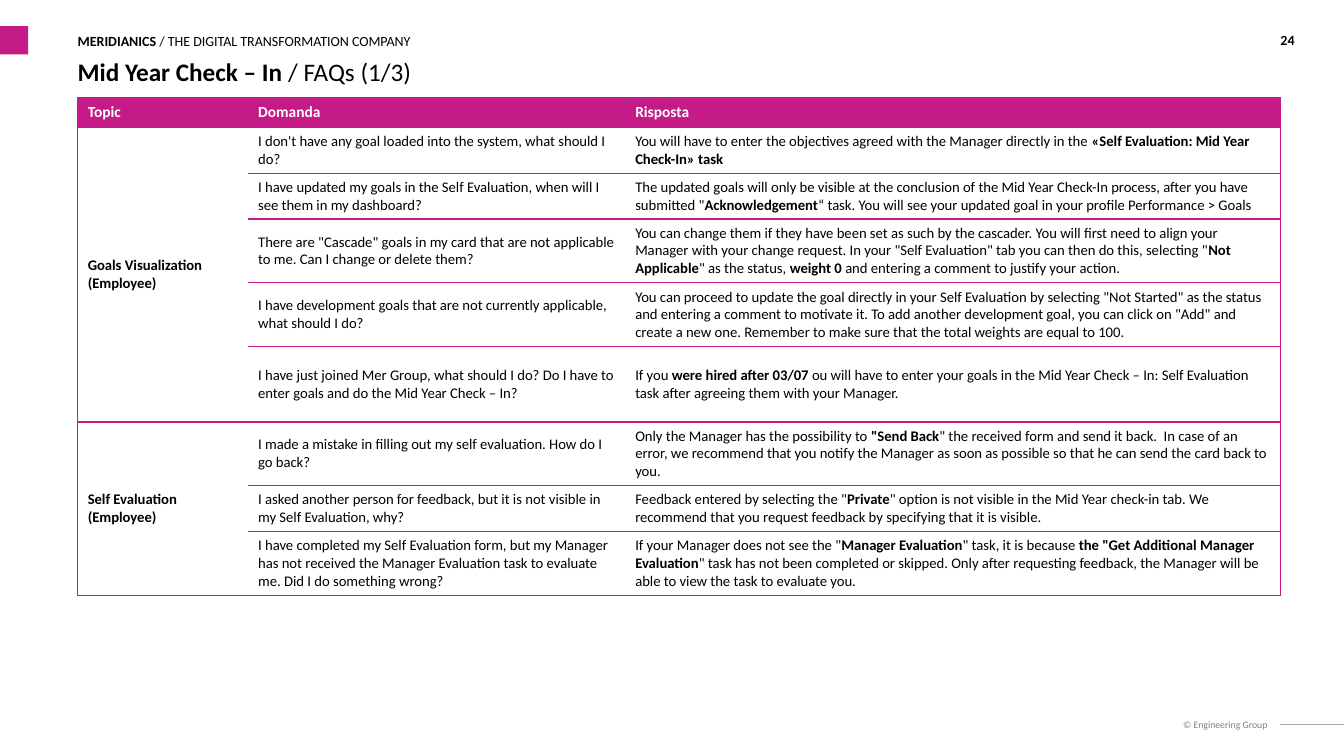
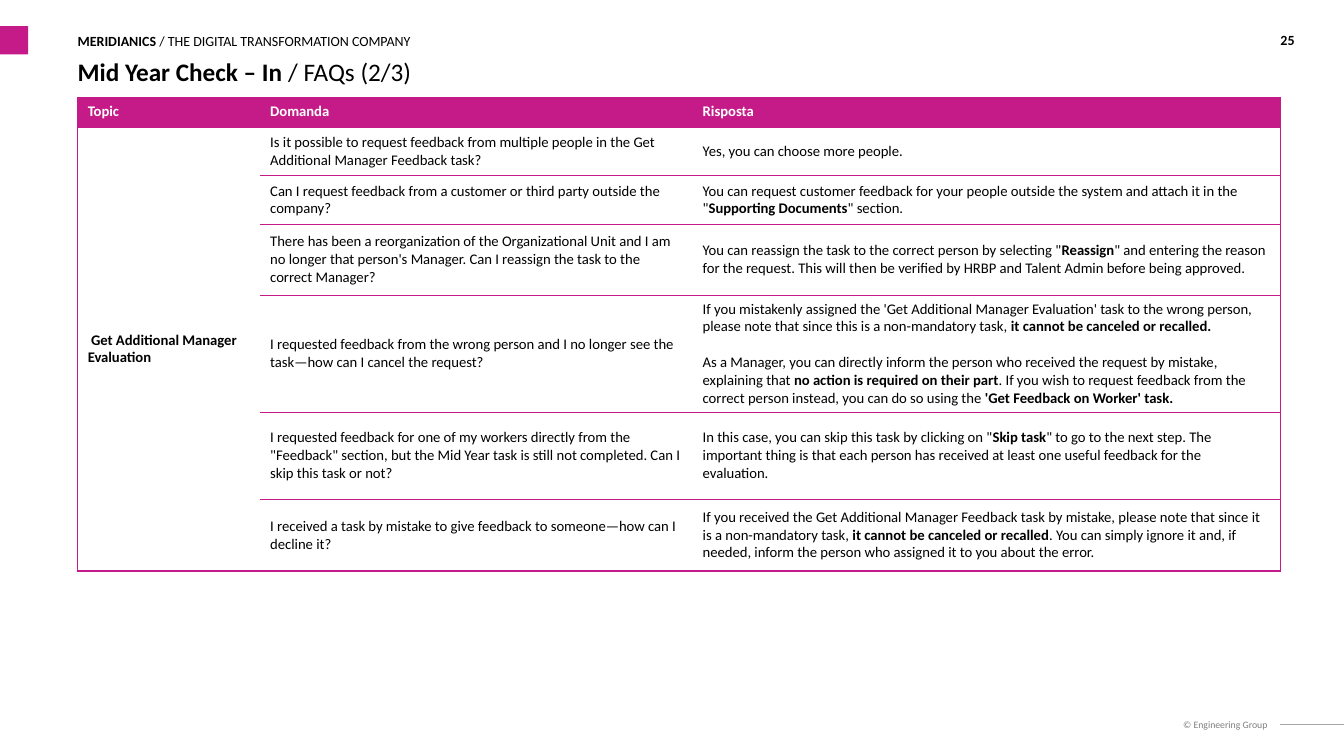
import lxml.etree
import pptx
import pptx.dml.color
import pptx.enum.shapes
import pptx.enum.text
import pptx.oxml
import pptx.oxml.ns
import pptx.util

MAGENTA, WHITE, BLACK, GREY, RULE = "C51B88", "FFFFFF", "000000", "808080", "A6A6A6"
FONT = "Calibri"
LEFT, RIGHT = 5.78, 95.27
BAND_TOP, BAND_HEIGHT = 3.47, 3.6
TABLE_TOP = 12.9
CELL_SIZE = 10.5
PARAGRAPH_GAP = 12.8

ink = pptx.dml.color.RGBColor.from_string
qn = pptx.oxml.ns.qn
Align = pptx.enum.text.PP_ALIGN
Anchor = pptx.enum.text.MSO_ANCHOR

deck = pptx.Presentation()
deck.slide_width = pptx.util.Inches(13.33)
deck.slide_height = pptx.util.Inches(7.5)


def box(left, top, width, height):
    return [int(share * side / 100) for share, side in
            zip((left, top, width, height), (deck.slide_width, deck.slide_height) * 2)]


def write(frame, marked, size, colour=BLACK, anchor=Anchor.MIDDLE, align=Align.LEFT):
    frame.word_wrap = True
    frame.vertical_anchor = anchor
    for index, line in enumerate(marked.split("\n")):
        paragraph = frame.add_paragraph() if index else frame.paragraphs[0]
        paragraph.alignment = align
        paragraph.space_before = pptx.util.Pt(0)
        for part, words in enumerate(line.split("**")):
            if words:
                run = paragraph.add_run()
                run.text = words
                run.font.name = FONT
                run.font.size = pptx.util.Pt(size)
                run.font.bold = part % 2 == 1
                run.font.color.rgb = ink(colour)


faq_pages = [
    {
        "number": "24",
        "part": "(1/3)",
        "header_size": 11,
        "columns": [12.68, 28.06],
        "rows": [3.97, 6.05, 6.05, 8.45, 8.45, 9.95, 8.45, 6.05, 8.45],
        "topics": [
            ("**Goals Visualization**\n**(Employee)**", [
                ("I don't have any goal loaded into the system, what should I do?",
                 "You will have to enter the objectives agreed with the Manager directly in the "
                 "**«Self Evaluation: Mid Year Check-In» task**"),
                ("I have updated my goals in the Self Evaluation, when will I see them in my dashboard?",
                 "The updated goals will only be visible at the conclusion of the Mid Year Check-In "
                 "process, after you have submitted \"**Acknowledgement**“ task. You will see your "
                 "updated goal in your profile Performance > Goals"),
                ("There are \"Cascade\" goals in my card that are not applicable to me. "
                 "Can I change or delete them?",
                 "You can change them if they have been set as such by the cascader. You will first "
                 "need to align your Manager with your change request. In your \"Self Evaluation\" tab "
                 "you can then do this, selecting \"**Not Applicable**\" as the status, **weight 0** "
                 "and entering a comment to justify your action."),
                ("I have development goals that are not currently applicable, what should I do?",
                 "You can proceed to update the goal directly in your Self Evaluation by selecting "
                 "\"Not Started\" as the status and entering a comment to motivate it. To add another "
                 "development goal, you can click on \"Add\" and create a new one. Remember to make "
                 "sure that the total weights are equal to 100."),
                ("I have just joined Mer Group, what should I do? Do I have to enter goals and do "
                 "the Mid Year Check – In?",
                 "If you **were hired after 03/07 **ou will have to enter your goals in the Mid Year "
                 "Check – In: Self Evaluation task after agreeing them with your Manager."),
            ]),
            ("**Self Evaluation**\n**(Employee)**", [
                ("I made a mistake in filling out my self evaluation. How do I go back?",
                 "Only the Manager has the possibility to **\"Send Back**\" the received form and send "
                 "it back.  In case of an error, we recommend that you notify the Manager as soon as "
                 "possible so that he can send the card back to you."),
                ("I asked another person for feedback, but it is not visible in my Self Evaluation, why?",
                 "Feedback entered by selecting the \"**Private**\" option is not visible in the Mid "
                 "Year check-in tab. We recommend that you request feedback by specifying that it is "
                 "visible."),
                ("I have completed my Self Evaluation form, but my Manager has not received the "
                 "Manager Evaluation task to evaluate me. Did I do something wrong?",
                 "If your Manager does not see the \"**Manager Evaluation**\" task, it is because "
                 "**the \"Get Additional Manager Evaluation**\" task has not been completed or skipped. "
                 "Only after requesting feedback, the Manager will be able to view the task to "
                 "evaluate you."),
            ]),
        ],
    },
    {
        "number": "25",
        "part": "(2/3)",
        "header_size": 10.5,
        "columns": [13.58, 32.18],
        "rows": [3.9, 6.45, 6.45, 9.35, 15.5, 11.5, 9.5],
        "topics": [
            ("** Get Additional Manager Evaluation**", [
                ("Is it possible to request feedback from multiple people in the Get Additional "
                 "Manager Feedback task?",
                 "Yes, you can choose more people."),
                ("Can I request feedback from a customer or third party outside the company?",
                 "You can request customer feedback for your people outside the system and attach it "
                 "in the \"**Supporting Documents**\" section."),
                ("There has been a reorganization of the Organizational Unit and I am no longer that "
                 "person's Manager. Can I reassign the task to the correct Manager?",
                 "You can reassign the task to the correct person by selecting \"**Reassign**\" and "
                 "entering the reason for the request. This will then be verified by HRBP and Talent "
                 "Admin before being approved."),
                ("I requested feedback from the wrong person and I no longer see the task—how can I "
                 "cancel the request?",
                 "If you mistakenly assigned the 'Get Additional Manager Evaluation' task to the wrong "
                 "person, please note that since this is a non-mandatory task, **it cannot be canceled "
                 "or recalled.**\nAs a Manager, you can directly inform the person who received the "
                 "request by mistake, explaining that **no action is required on their part**. If you "
                 "wish to request feedback from the correct person instead, you can do so using the "
                 "**'Get Feedback on Worker' task.**"),
                ("I requested feedback for one of my workers directly from the \"Feedback\" section, "
                 "but the Mid Year task is still not completed. Can I skip this task or not?",
                 "In this case, you can skip this task by clicking on \"**Skip task**\" to go to the "
                 "next step. The important thing is that each person has received at least one useful "
                 "feedback for the evaluation."),
                ("I received a task by mistake to give feedback to someone—how can I decline it?",
                 "If you received the Get Additional Manager Feedback task by mistake, please note that "
                 "since it is a non-mandatory task, **it cannot be canceled or recalled**. You can "
                 "simply ignore it and, if needed, inform the person who assigned it to you about the "
                 "error."),
            ]),
        ],
    },
]

for page in faq_pages:
    slide = deck.slides.add_slide(deck.slide_layouts[1])

    accent = slide.shapes.add_shape(pptx.enum.shapes.MSO_SHAPE.RECTANGLE, *box(0, BAND_TOP, 2.1, 3.73))
    accent.shadow.inherit = False
    accent.fill.solid()
    accent.fill.fore_color.rgb = ink(MAGENTA)
    accent.line.fill.background()

    footer_rule = slide.shapes.add_connector(
        pptx.enum.shapes.MSO_CONNECTOR.STRAIGHT, *box(RIGHT, 95.87, 100, 95.87))
    footer_rule.line.color.rgb = ink(RULE)
    footer_rule.line.width = pptx.util.Pt(0.75)
    lxml.etree.SubElement(footer_rule._element.spPr, qn("a:effectLst"))

    title, company = slide.shapes.title, slide.placeholders[1]
    copyright_line = slide.shapes.add_textbox(*box(86.95, 95.07, 7.35, 1.6))
    page_number = slide.shapes.add_textbox(*box(RIGHT, BAND_TOP, 4.73, BAND_HEIGHT))
    title.left, title.top, title.width, title.height = box(LEFT, 7.47, 88.6, 3.73)
    company.left, company.top, company.width, company.height = box(LEFT, BAND_TOP, 44.34, BAND_HEIGHT)
    for label in (title, company, copyright_line, page_number):
        frame = label.text_frame
        frame.auto_size = pptx.enum.text.MSO_AUTO_SIZE.NONE
        frame.margin_left = frame.margin_right = frame.margin_top = frame.margin_bottom = 0
    company.text_frame.margin_top = pptx.util.Inches(0.02)
    plain = company.text_frame.paragraphs[0]._p.get_or_add_pPr()
    plain.set("marL", "0")
    plain.set("indent", "0")
    lxml.etree.SubElement(plain, qn("a:buNone"))

    write(title.text_frame, f"**Mid Year Check – In **/ FAQs {page['part']}", 18, anchor=Anchor.TOP)
    write(company.text_frame, "**MERIDIANICS **/ THE DIGITAL TRANSFORMATION COMPANY", 10)
    write(copyright_line.text_frame, "© Engineering Group", 7, GREY, Anchor.TOP, Align.RIGHT)
    write(page_number.text_frame, f"**{page['number']}**", 10)

    column_shares = page["columns"] + [RIGHT - LEFT - sum(page["columns"])]
    faq = slide.shapes.add_table(
        len(page["rows"]), len(column_shares),
        *box(LEFT, TABLE_TOP, RIGHT - LEFT, sum(page["rows"]))).table
    faq.horz_banding = False
    for column, share in zip(faq.columns, column_shares):
        column.width = int(deck.slide_width * share / 100)
    for row, share in zip(faq.rows, page["rows"]):
        row.height = int(deck.slide_height * share / 100)

    entries = [("**Topic**", "**Domanda**", "**Risposta**")]
    for topic, answers in page["topics"]:
        first = len(entries)
        entries += [(topic if index == 0 else "", *pair) for index, pair in enumerate(answers)]
        faq.cell(first, 0).merge(faq.cell(len(entries) - 1, 0))

    for row, entry in enumerate(entries):
        header = row == 0
        for column, words in enumerate(entry):
            cell = faq.cell(row, column)
            group_end = row + 1 == len(entries) or entries[row + 1][column] != ""
            edges = {"L": column == 0, "R": column == 2,
                     "T": words != "", "B": words != "" or group_end}
            for side, drawn in edges.items():
                edge = lxml.etree.SubElement(cell._tc.get_or_add_tcPr(), qn(f"a:ln{side}"), w="12700")
                if drawn:
                    paint = lxml.etree.SubElement(edge, qn("a:solidFill"))
                    lxml.etree.SubElement(paint, qn("a:srgbClr"), val=MAGENTA)
                else:
                    lxml.etree.SubElement(edge, qn("a:noFill"))
            cell.fill.solid()
            cell.fill.fore_color.rgb = ink(MAGENTA if header else WHITE)
            cell.vertical_anchor = Anchor.TOP if header else Anchor.MIDDLE
            if words:
                write(cell.text_frame, words, page["header_size"] if header else CELL_SIZE,
                      WHITE if header else BLACK, cell.vertical_anchor)
            if column == 2:
                for paragraph in cell.text_frame.paragraphs[1:]:
                    paragraph.space_before = pptx.util.Pt(PARAGRAPH_GAP)

deck.save("out.pptx")
